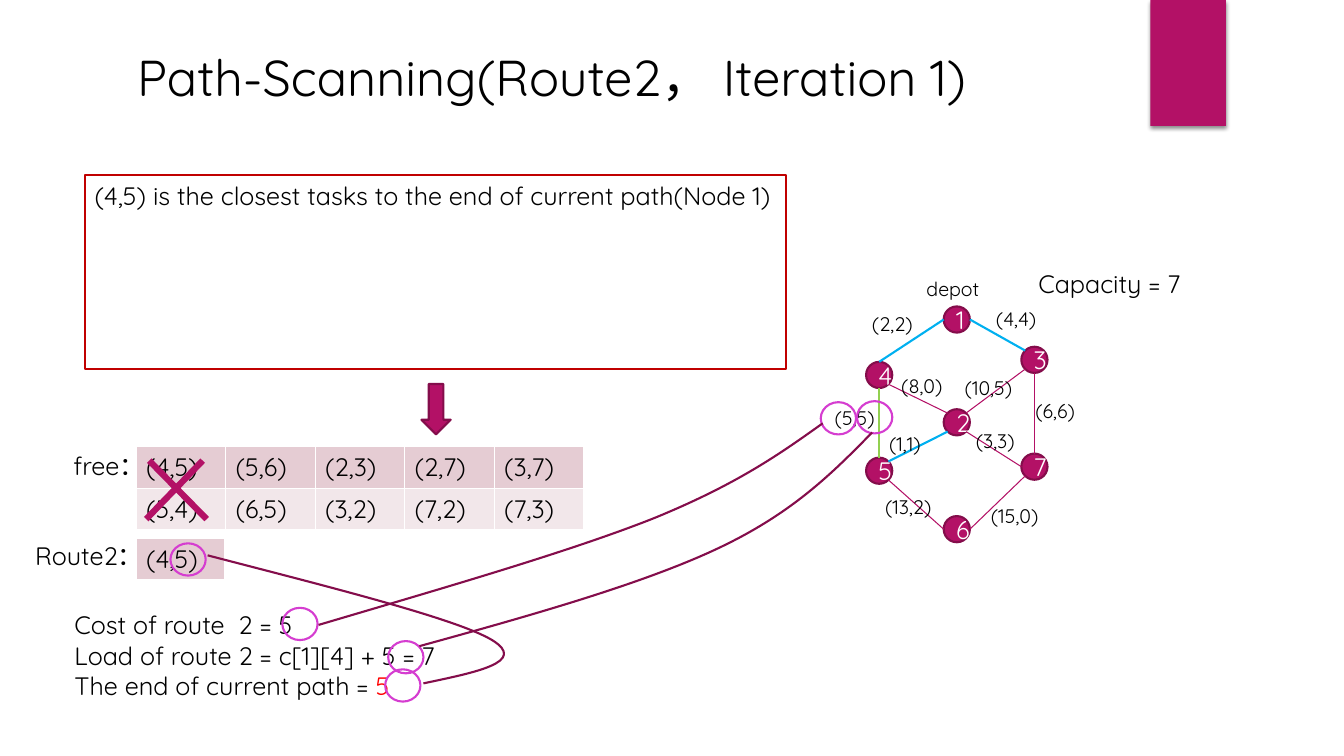
import math
from lxml import etree
from pptx import Presentation, util as u
from pptx.dml.color import RGBColor
from pptx.enum import shapes as es, text as et
from pptx.oxml.ns import qn

FONT = "Quicksand"
PINK, DARK, RING = "B31166", "840D4B", "D53DD0"
BLUE, GREEN = "00B0F0", "92D050"
BANDS = ["E5CCD3", "F2E7EA"]
TITLE = "Path-Scanning(Route2， Iteration 1)"
NOTE = "(4,5) is the closest tasks to the end of current path(Node 1)"
FREE = [["(4,5)", "(5,6)", "(2,3)", "(2,7)", "(3,7)"],
        ["(5,4)", "(6,5)", "(3,2)", "(7,2)", "(7,3)"]]
ROUTE = [["(4,5)"]]
STATE = [[("Cost of route  2 = 5", None)],
         [("Load of route 2 = c[1][4] + 5 = 7", None)],
         [("The end of current path = ", None), ("5", "FF0000")]]

COL, STEP, NODE = 8.59, 0.77, 0.26
NODES = {1: (1, 3.04), 3: (2, 3.44), 2: (1, 4.06), 4: (0, 3.59),
         5: (0, 4.54), 6: (1, 5.12), 7: (2, 4.5)}
EDGES = [(1, 2, 4, 0, BLUE), (1, 6, 3, 1, BLUE), (4, 4, 5, 0, GREEN),
         (3, 4, 7, 0, PINK), (5, 5, 6, 2, PINK), (7, 3, 6, 6, PINK),
         (4, 5, 2, 1, PINK), (3, 3, 2, 7, PINK), (2, 3, 5, 7, BLUE),
         (2, 5, 7, 2, PINK)]
TAGS = [("depot", 9.09, 2.7, 0.79), ("(2,2)", 8.55, 3.05, 0.62),
        ("(4,4)", 9.78, 3, 0.62), ("(5,5)", 8.18, 3.98, 0.62),
        ("(6,6)", 10.17, 3.91, 0.62), ("(8,0)", 8.84, 3.66, 0.62),
        ("(10,5)", 9.47, 3.68, 0.73), ("(1,1)", 8.72, 4.24, 0.62),
        ("(13,2)", 8.68, 4.86, 0.73), ("(15,0)", 9.73, 4.95, 0.73),
        ("(3,3)", 9.58, 4.21, 0.62)]
CROSS = [(1.48, 4.57, 2.05, 5.15), (2.01, 4.57, 1.45, 5.15)]
RINGS = [(3.82, 6.64), (2.8, 6.03), (3.85, 6.36),
         (1.69, 5.39), (8.14, 3.99), (8.5, 3.98)]
CURVES = [
    (5, [(2.06, 5.51), (3.29, 5.83), (4.53, 6.14), (4.88, 6.35),
         (5.24, 6.57), (4.72, 6.67), (4.2, 6.78)]),
    (8.16, [(3.16, 6.2), (4.41, 5.83), (5.66, 5.47), (6.49, 5.14),
            (7.32, 4.8), (7.74, 4.5), (8.16, 4.2)]),
    (8.65, [(4.16, 6.41), (5.25, 6.11), (6.35, 5.8), (7.1, 5.45),
            (7.85, 5.1), (8.25, 4.7), (8.65, 4.29)])]

deck = Presentation()
deck.slide_width, deck.slide_height = u.Inches(13.33), u.Inches(7.5)
page = deck.slides.add_slide(deck.slide_layouts[5])
art = page.shapes


def rgb(code):
    return RGBColor.from_string(code)


def inch(*nums):
    return [u.Inches(n) for n in nums]


def write(frame, words, size=18, color="000000", align=et.PP_ALIGN.LEFT):
    rows = [[(words, None)]] if isinstance(words, str) else words
    for i, row in enumerate(rows):
        para = frame.add_paragraph() if i else frame.paragraphs[0]
        para.alignment = align
        for word, tint in row:
            run = para.add_run()
            run.text = word
            run.font.name, run.font.size = FONT, u.Pt(size)
            run.font.color.rgb = rgb(tint or color)


def label(words, x, y, w, h, wrap=False, **form):
    frame = art.add_textbox(*inch(x, y, w, h)).text_frame
    frame.word_wrap = wrap
    frame.auto_size = et.MSO_AUTO_SIZE.SHAPE_TO_FIT_TEXT
    write(frame, words, **form)


def style(item, fill=None, line=None, width=1.5):
    item.shadow.inherit = False
    if fill:
        item.fill.solid()
        item.fill.fore_color.rgb = rgb(fill)
    else:
        item.fill.background()
    if line:
        item.line.color.rgb = rgb(line)
        item.line.width = u.Pt(width)
    else:
        item.line.fill.background()


def shape(kind, x, y, w, h, **form):
    item = art.add_shape(kind, *inch(x, y, w, h))
    style(item, **form)
    return item


def link(x1, y1, x2, y2, color, width):
    item = art.add_connector(es.MSO_CONNECTOR.STRAIGHT, *inch(x1, y1, x2, y2))
    item.line.color.rgb = rgb(color)
    item.line.width = u.Pt(width)
    etree.SubElement(item._element.spPr, qn("a:effectLst"))


def table(rows, x, y, w, h):
    grid = art.add_table(len(rows), len(rows[0]), *inch(x, y, w, h)).table
    grid.first_row = False
    for r, row in enumerate(rows):
        for c, word in enumerate(row):
            cell = grid.cell(r, c)
            cell.fill.solid()
            cell.fill.fore_color.rgb = rgb(BANDS[r])
            write(cell.text_frame, word)


def site(node, spot):
    col, top = NODES[node]
    turn, half = math.radians(90 + 45 * spot), NODE / 2
    return (COL + STEP * col + half + half * math.cos(turn),
            top + half - half * math.sin(turn))


def curve(right, dots):
    left, top = dots[0][0], min(y for x, y in dots)
    pen = art.build_freeform(*inch(*dots[0]))
    pen.add_line_segments([inch(right, dots[3][1]), inch(*dots[-1])],
                          close=False)
    item = pen.convert_to_shape()
    style(item, line=DARK)
    track = next(item._element.iter(qn("a:path")))
    for old in track.findall(qn("a:lnTo")):
        track.remove(old)
    for i in range(1, len(dots), 3):
        bend = etree.SubElement(track, qn("a:cubicBezTo"))
        for x, y in dots[i:i + 3]:
            etree.SubElement(bend, qn("a:pt"), x=str(u.Inches(x - left)),
                             y=str(u.Inches(y - top)))


KIND = es.MSO_SHAPE
tab = shape(KIND.RECTANGLE, 11.41, 0, 0.75, 1.25, fill=PINK)
glow = tab._element.spPr.find(qn("a:effectLst"))
cast = etree.SubElement(glow, qn("a:outerShdw"), blurRad=str(u.Pt(3)),
                        dist=str(u.Pt(2)), dir="5400000", rotWithShape="0")
tone = etree.SubElement(cast, qn("a:srgbClr"), val="000000")
etree.SubElement(tone, qn("a:alpha"), val="45000")

head = art.title
head.left, head.top, head.width, head.height = inch(1.26, 0.37, 9.58, 0.77)
head.text_frame.vertical_anchor = et.MSO_ANCHOR.MIDDLE
write(head.text_frame, TITLE, size=36)

table(FREE, 1.35, 4.43, 4.44, 0.81)
label("free：", 0.63, 4.42, 0.94, 0.4)

for name, (col, top) in NODES.items():
    ball = shape(KIND.OVAL, COL + STEP * col, top, NODE, NODE,
                 fill=PINK, line=DARK)
    ball.text_frame.vertical_anchor = et.MSO_ANCHOR.MIDDLE
    write(ball.text_frame, str(name), color="FFFFFF",
          align=et.PP_ALIGN.CENTER)
for a, i, b, j, color in EDGES:
    link(*site(a, i), *site(b, j), color, 0.75 if color == PINK else 1.5)
for word, x, y, w in TAGS:
    label(word, x, y, w, 0.34, size=14)
label("Capacity = 7", 10.2, 2.61, 1.79, 0.4)

table(ROUTE, 1.35, 5.34, 0.88, 0.41)
for ends in CROSS:
    link(*ends, PINK, 4.5)
label("Route2：", 0.25, 5.31, 1.38, 0.4, wrap=True)

box = shape(KIND.RECTANGLE, 0.84, 1.74, 6.96, 1.92, line="C00000")
box.text_frame.vertical_anchor = et.MSO_ANCHOR.TOP
write(box.text_frame, NOTE)
shape(KIND.DOWN_ARROW, 4.18, 3.81, 0.29, 0.5, fill=PINK, line=DARK)
label(STATE, 0.64, 6, 4.03, 1.31)

for x, y in RINGS:
    shape(KIND.OVAL, x, y, 0.35, 0.32, line=RING)
for right, dots in CURVES:
    curve(right, dots)

deck.save("out.pptx")
